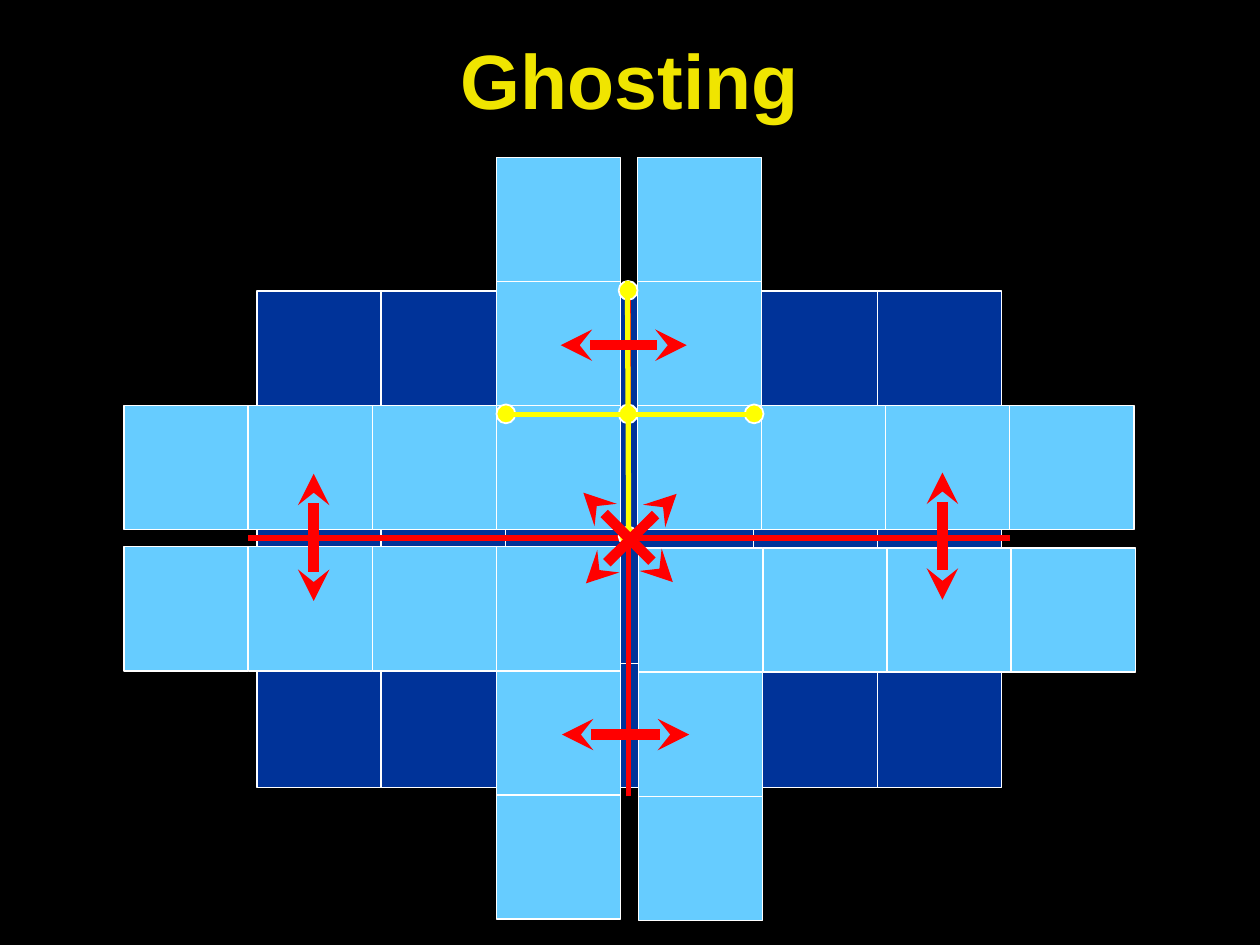
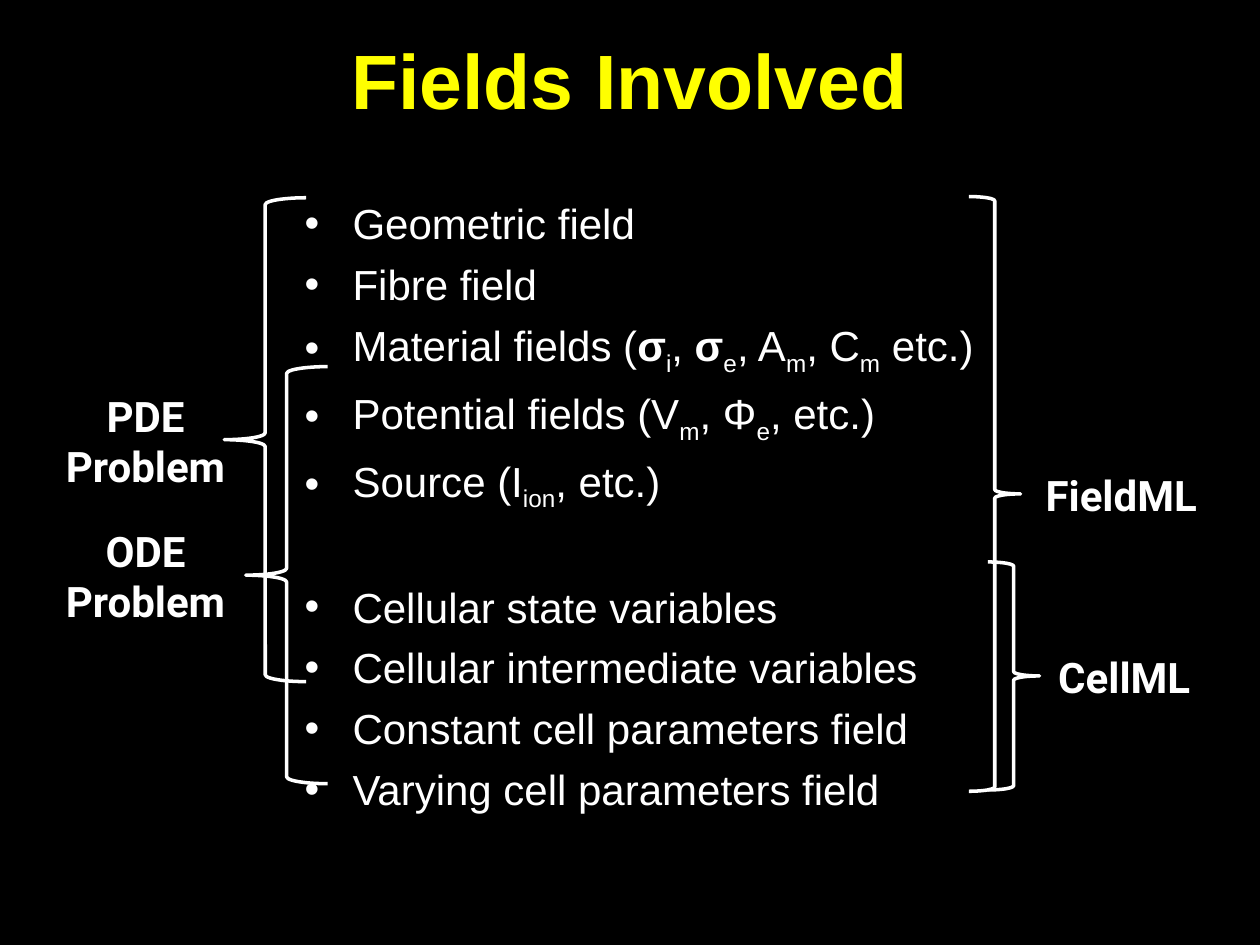
from itertools import product

from lxml.etree import SubElement
from pptx import Presentation
from pptx.dml.color import RGBColor
from pptx.enum.shapes import MSO_CONNECTOR as CONN, MSO_SHAPE as SHAPE
from pptx.enum.text import MSO_ANCHOR as ANCHOR, MSO_AUTO_SIZE as FIT, PP_ALIGN as ALIGN
from pptx.oxml.ns import qn
from pptx.util import Inches, Pt

BLACK, WHITE, YELLOW, RED = "000000", "FFFFFF", "FFFF00", "FF0000"
NAVY, SKY, TITLE_GOLD = "003399", "66CCFF", "F0E500"
CELL = 0.985
FIELDS = [
    "Geometric field",
    "Fibre field",
    "Material fields (|*σ|_i|, |*σ|_e|, A|_m|, C|_m| etc.)",
    "Potential fields (V|_m|, Φ|_e|, etc.)",
    "Source (I|_ion|, etc.)",
    "Cellular state variables",
    "Cellular intermediate variables",
    "Constant cell parameters field",
    "Varying cell parameters field",
]
FIRST_CELLULAR = 5


def rgb(value):
    """Turn a hex string into a colour."""
    return RGBColor.from_string(value)


def add_slide(prs, title, color=YELLOW):
    """Add a black slide with its centred title."""
    slide = prs.slides.add_slide(prs.slide_layouts[6])
    slide.background.fill.solid()
    slide.background.fill.fore_color.rgb = rgb(BLACK)
    add_text(slide, [title], (0.5, 0, 9, 1.25), size=44, color=color, bold=True,
             align=ALIGN.CENTER, anchor=ANCHOR.MIDDLE)
    return slide


def add_runs(p, text, bold):
    """Split text at bars into runs; * marks bold and _ marks subscript."""
    for piece in text.split("|"):
        r = p.add_run()
        r.text = piece.lstrip("*_")
        r.font.bold = bold or piece.startswith("*")
        if piece.startswith("_"):
            r.font._element.set("baseline", "-25000")


def add_bullet(p):
    """Give a paragraph a hanging round bullet."""
    pPr = p._p.get_or_add_pPr()
    pPr.set("marL", str(Inches(0.38)))
    pPr.set("indent", str(-Inches(0.38)))
    SubElement(pPr, qn("a:buFont")).set("typeface", "Arial")
    SubElement(pPr, qn("a:buChar")).set("char", "•")


def add_text(slide, lines, at, size=24, font="Arial", color=WHITE, bold=False,
             align=ALIGN.LEFT, anchor=ANCHOR.TOP, wrap=True, bullet=False):
    """Add a text box with one paragraph per line and return its frame."""
    tf = slide.shapes.add_textbox(*map(Inches, at)).text_frame
    tf.word_wrap, tf.vertical_anchor = wrap, anchor
    tf.auto_size = FIT.NONE if wrap else FIT.SHAPE_TO_FIT_TEXT
    for i, line in enumerate(lines):
        p = tf.paragraphs[0] if i == 0 else tf.add_paragraph()
        p.alignment = align
        if bullet:
            add_bullet(p)
        add_runs(p, line, bold)
        for r in p.runs:
            r.font.size, r.font.name = Pt(size), font
            r.font.color.rgb = rgb(color)
    return tf


def add_preset(slide, kind, at, fill=None, width=0.75):
    """Add a white-outlined preset shape, filled if a colour is given."""
    sp = slide.shapes.add_shape(kind, *map(Inches, at))
    sp.shadow.inherit = False
    if fill:
        sp.fill.solid()
        sp.fill.fore_color.rgb = rgb(fill)
    else:
        sp.fill.background()
    sp.line.color.rgb = rgb(WHITE)
    sp.line.width = Pt(width)


def add_line(slide, ends, color, width=3, arrows=False):
    """Add a straight line, with stealth heads at both ends if asked."""
    line = slide.shapes.add_connector(CONN.STRAIGHT, *map(Inches, ends))
    line.line.color.rgb = rgb(color)
    line.line.width = Pt(width)
    if arrows:
        for end in ("a:headEnd", "a:tailEnd"):
            SubElement(line.line._get_or_add_ln(), qn(end)).set("type", "stealth")
    SubElement(line._element.spPr, qn("a:effectLst"))


def add_cell(slide, x, y, fill):
    """Add one square of the mesh."""
    add_preset(slide, SHAPE.RECTANGLE, (x, y, CELL, CELL), fill)


def add_ghost_quarter(slide, x, y, dx, dy):
    """Add an L of squares running outwards from the inner square at x, y."""
    for col, row in [(3, 0), (2, 0), (1, 0), (0, 0), (0, 1), (0, 2)]:
        add_cell(slide, x + dx * col * CELL, y + dy * row * CELL, SKY)


def add_braced_label(slide, kind, brace_at, lines, label_at):
    """Add a curly brace and the bold label it points to."""
    add_preset(slide, kind, brace_at, width=2)
    align = ALIGN.CENTER if kind == SHAPE.LEFT_BRACE else ALIGN.LEFT
    add_text(slide, lines, label_at, font="Roboto", bold=True, align=align, wrap=False)


def build_ghosting(prs):
    """Build the mesh split into quarters with ghost cells."""
    slide = add_slide(prs, "Ghosting", TITLE_GOLD)
    for row, col in product(range(4), range(6)):
        add_cell(slide, 2.04 + col * CELL, 2.31 + row * CELL, NAVY)

    add_line(slide, (1.97, 4.27, 8.02, 4.27), RED)
    add_line(slide, (4.99, 6.32, 4.99, 2.23), RED)

    for quarter in [(3.94, 3.22, -1, -1), (5.06, 3.22, 1, -1),
                    (5.07, 4.35, 1, 1), (3.94, 4.34, -1, 1)]:
        add_ghost_quarter(slide, *quarter)

    for x, y in [(4.91, 3.21), (4.91, 2.23), (4.91, 4.18), (3.94, 3.21), (5.91, 3.21)]:
        add_preset(slide, SHAPE.OVAL, (x, y, 0.15, 0.15), YELLOW, 1)
    add_line(slide, (4.98, 2.23, 4.99, 4.33), YELLOW)
    add_line(slide, (4.02, 3.29, 5.98, 3.29), YELLOW)

    for exchange in [(4.45, 2.74, 5.45, 2.74), (4.46, 5.83, 5.47, 5.83),
                     (7.48, 3.75, 7.48, 4.76), (2.49, 3.76, 2.49, 4.77),
                     (4.63, 3.91, 5.34, 4.62), (4.65, 4.63, 5.37, 3.92)]:
        add_line(slide, exchange, RED, 6, arrows=True)


def build_fields(prs):
    """Build the list of fields with its braces."""
    slide = add_slide(prs, "Fields Involved")
    tf = add_text(slide, FIELDS, (2.32, 1.49, 5.54, 5.02), bullet=True)
    tf.margin_top = Inches(0.08)
    for p in tf.paragraphs[1:]:
        p.space_before = Pt(6)
    tf.paragraphs[FIRST_CELLULAR].space_before = Pt(39)

    left, right = SHAPE.LEFT_BRACE, SHAPE.RIGHT_BRACE
    for label in [
        (left, (1.95, 2.91, 0.65, 3.31), ["ODE", "Problem"], (0.35, 4.12, 1.61, 0.91)),
        (left, (1.78, 1.57, 0.65, 3.84), ["PDE", "Problem"], (0.35, 3.05, 1.61, 0.91)),
        (right, (7.69, 1.56, 0.41, 4.72), ["FieldML"], (8.2, 3.68, 1.51, 0.5)),
        (right, (7.84, 4.46, 0.41, 1.81), ["CellML"], (8.3, 5.12, 1.32, 0.5)),
    ]:
        add_braced_label(slide, *label)


def main():
    """Build and save the presentation."""
    prs = Presentation()
    prs.slide_width, prs.slide_height = Inches(10), Inches(7.5)
    build_ghosting(prs)
    build_fields(prs)
    prs.save("out.pptx")


if __name__ == "__main__":
    main()
